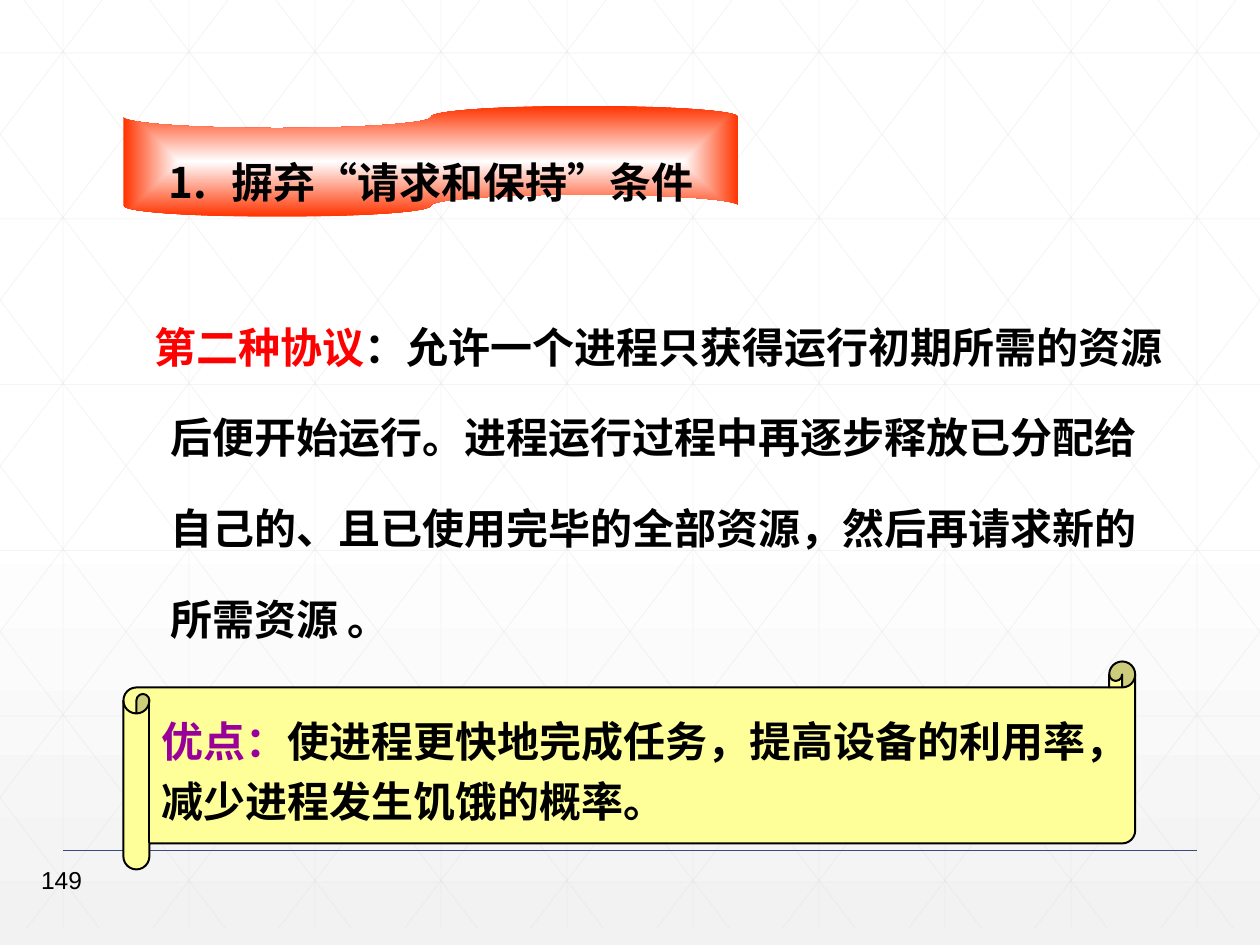
"""Build the slide on giving up the request-and-hold condition."""
from lxml.etree import SubElement
from pptx import Presentation
from pptx.dml.color import RGBColor
from pptx.enum.shapes import MSO_CONNECTOR, MSO_SHAPE
from pptx.enum.text import MSO_ANCHOR, MSO_AUTO_SIZE, PP_ALIGN
from pptx.oxml.ns import qn
from pptx.util import Inches, Pt

HEADING = "摒弃“请求和保持”条件"
PROTOCOL = [
    ("第二种协议", "FF0000"),
    ("：允许一个进程只获得运行初期所需的资源后便开始运行。进程运行过程中再逐步释放已分配给自己的、且已使用完毕的全部资源，然后再请求新的所需资源 。", "000000"),
]
ADVANTAGE = [
    [("优点：", "990099"), ("使进程更快地完成任务，提高设备的利用率，", "000000")],
    [("减少进程发生饥饿的概率。", "000000")],
]
PAGE_NUMBER = "149"

WIDTH, HEIGHT = 10, 7.5
GRID_BOTTOM = 7.37
ROW = 1.316
TAPE_BOX = (0.98, 0.84, 4.88, 0.88)
PROTOCOL_BOX = (0.75, 2.18, 8.66, 3.01)
SCROLL_BOX = (0.98, 5.25, 8.03, 1.65)
NUMBER_BOX = (0.12, 6.82, 0.63, 0.5)


def rgb(value):
    return RGBColor.from_string(value)


def inches(box):
    return [Inches(length) for length in box]


def place(placeholder, box):
    placeholder.left, placeholder.top, placeholder.width, placeholder.height = inches(box)


def draw_line(shapes, ends, color, weight, opacity=100):
    rule = shapes.add_connector(MSO_CONNECTOR.STRAIGHT, *inches(ends))
    rule.line.color.rgb = rgb(color)
    rule.line.width = Pt(weight)
    properties = rule._element.spPr
    SubElement(properties.find(".//" + qn("a:srgbClr")), qn("a:alpha"), val=str(opacity * 1000))
    SubElement(properties, qn("a:effectLst"))


def grid_lines():
    lines = [(0.5 + i, 0, 0.5 + i, GRID_BOTTOM) for i in range(10)]
    lines += [(0, 0.42 + ROW * i, WIDTH, 0.42 + ROW * i) for i in range(6)]
    for i in range(-5, 10):
        start = 0.19 + i
        left = max(0, start)
        right = min(WIDTH, start + GRID_BOTTOM / ROW)
        top, bottom = ((x - start) * ROW for x in (left, right))
        lines += [(left, top, right, bottom), (WIDTH - left, top, WIDTH - right, bottom)]
    return lines


def blend(fill, stops):
    fill.gradient()
    for stop, (position, color) in zip(fill.gradient_stops, stops):
        stop.position = position
        stop.color.rgb = rgb(color)


def write(paragraph, pieces, spacing, bullet=None, margin=0, indent=0):
    properties = paragraph._p.get_or_add_pPr()
    properties.set("marL", str(Inches(margin)))
    properties.set("indent", str(Inches(indent)))
    paragraph.line_spacing = spacing
    paragraph.space_before = Pt(0)
    if bullet:
        SubElement(properties, qn("a:buFont"), typeface="Arial")
        SubElement(properties, qn("a:buAutoNum"), type=bullet)
    else:
        SubElement(properties, qn("a:buNone"))
    paragraph.font.name, paragraph.font.size, paragraph.font.bold = "Arial", Pt(24), True
    for text, color in pieces:
        run = paragraph.add_run()
        run.text = text
        run.font.color.rgb = rgb(color)


def add_tape(shapes):
    tape = shapes.add_shape(MSO_SHAPE.WAVE, *inches(TAPE_BOX))
    tape._element.spPr.find(qn("a:prstGeom")).set("prst", "flowChartPunchedTape")
    adjustments = tape._element.spPr.find(qn("a:prstGeom")).find(qn("a:avLst"))
    for guide in list(adjustments):
        adjustments.remove(guide)
    tape.shadow.inherit = False
    tape.line.fill.background()
    blend(tape.fill, [(0, "FFFFFF"), (1, "FF3300")])
    gradient = tape._element.spPr.find(qn("a:gradFill"))
    gradient.remove(gradient.find(qn("a:lin")))
    center = SubElement(gradient, qn("a:path"), path="rect")
    SubElement(center, qn("a:fillToRect"), dict.fromkeys("ltrb", "50000"))


def add_scroll(shapes):
    scroll = shapes.add_shape(MSO_SHAPE.HORIZONTAL_SCROLL, *inches(SCROLL_BOX))
    scroll.shadow.inherit = False
    scroll.fill.solid()
    scroll.fill.fore_color.rgb = rgb("FFFF99")
    scroll.line.color.rgb = rgb("000000")
    scroll.line.width = Pt(1.13)
    frame = scroll.text_frame
    frame.word_wrap = False
    frame.vertical_anchor = MSO_ANCHOR.MIDDLE
    for i, pieces in enumerate(ADVANTAGE):
        paragraph = frame.add_paragraph() if i else frame.paragraphs[0]
        paragraph.alignment = PP_ALIGN.LEFT
        write(paragraph, pieces, 1.2)


def add_number(shapes):
    number = shapes.add_textbox(*inches(NUMBER_BOX)).text_frame
    number.word_wrap = True
    paragraph = number.paragraphs[0]
    paragraph.text = PAGE_NUMBER
    paragraph.alignment = PP_ALIGN.RIGHT
    paragraph.font.name, paragraph.font.size = "Arial", Pt(14)
    paragraph.font.color.rgb = rgb("000000")


def main():
    deck = Presentation()
    deck.slide_width, deck.slide_height = inches((WIDTH, HEIGHT))
    slide = deck.slides.add_slide(deck.slide_layouts[1])
    shapes = slide.shapes
    blend(slide.background.fill, [(0.53, "FFFFFF"), (1, "F2F2F2")])
    slide.background.fill.gradient_angle = 270

    grid = shapes.add_group_shape()
    for ends in grid_lines():
        draw_line(grid.shapes, ends, "D9D9D9", 0.5, 25)
    draw_line(shapes, (0.5, 6.75, 9.5, 6.75), "384C81", 1)
    add_number(shapes)
    add_tape(shapes)

    heading, protocol = shapes.title, slide.placeholders[1]
    for placeholder, box in ((heading, TAPE_BOX), (protocol, PROTOCOL_BOX)):
        place(placeholder, box)
        placeholder.text_frame.auto_size = MSO_AUTO_SIZE.NONE
        shapes._spTree.append(placeholder._element)
    heading.text_frame.vertical_anchor = MSO_ANCHOR.MIDDLE
    heading.text_frame.paragraphs[0].alignment = PP_ALIGN.CENTER
    write(heading.text_frame.paragraphs[0], [(HEADING, "000000")], 1.8, "arabicPeriod", 0.5, -0.5)
    write(protocol.text_frame.paragraphs[0], PROTOCOL, 1.8, margin=0.5, indent=-0.12)

    add_scroll(shapes)
    deck.save("out.pptx")


if __name__ == "__main__":
    main()
